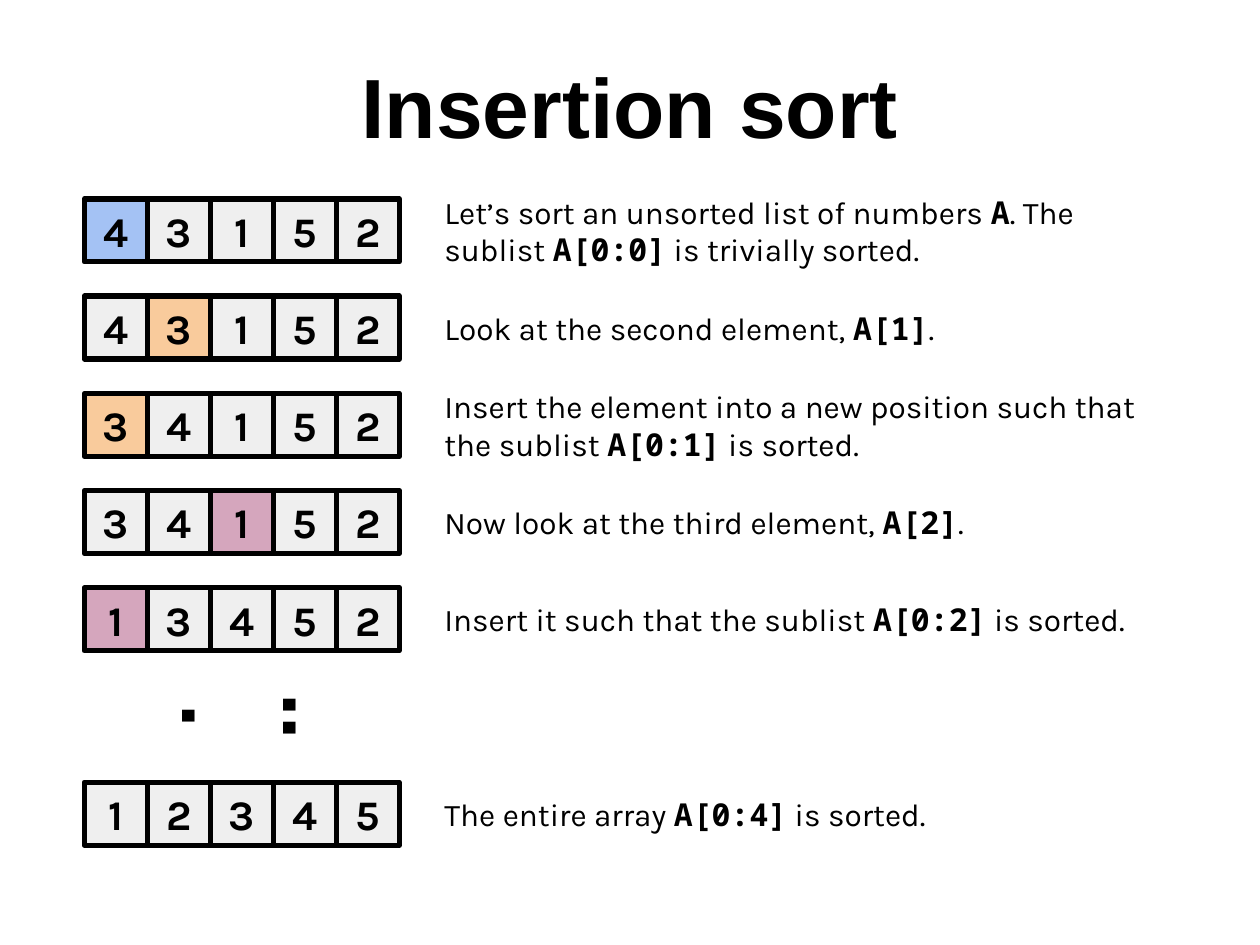
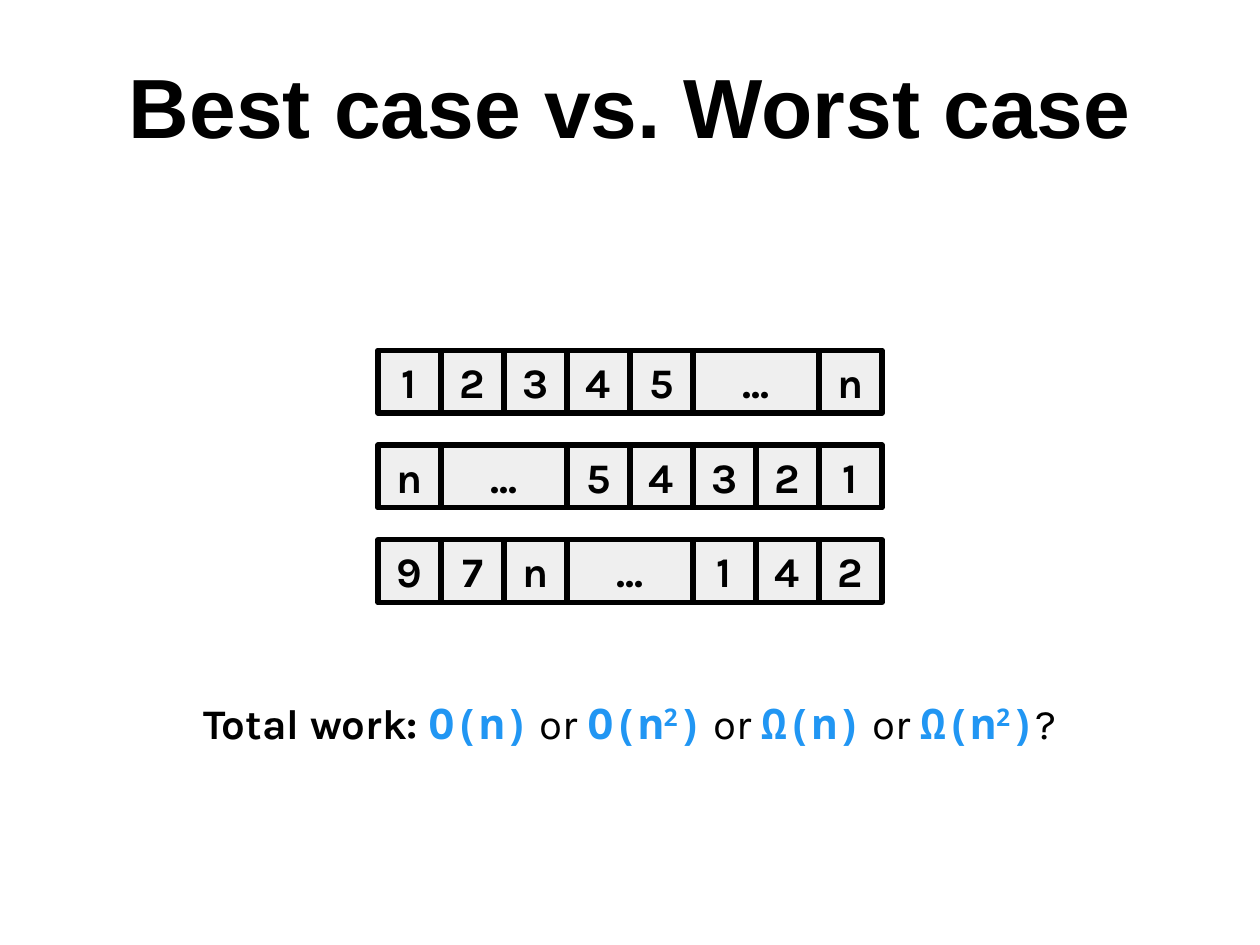
"""Builds two slides that explain insertion sort and its best and worst cases."""
import dataclasses

import pptx
import pptx.dml.color
import pptx.enum.shapes
import pptx.enum.text
import pptx.util

Cm = pptx.util.Cm
Align = pptx.enum.text.PP_ALIGN
Anchor = pptx.enum.text.MSO_ANCHOR


@dataclasses.dataclass(frozen=True)
class Theme:
    ink: str = "000000"
    cell: str = "EFEFEF"
    start: str = "A4C2F4"
    second: str = "F9CB9C"
    third: str = "D5A6BD"
    formula: str = "2196F3"
    heading_font: str = "Arial"
    body_font: str = "Karla"
    code_font: str = "Noto Sans Mono"
    heading_size: int = 48
    cell_size: int = 24
    caption_size: int = 18
    border: int = 3
    inset: float = 0.25
    cell_side: float = 1.27


def rgb(value):
    return pptx.dml.color.RGBColor.from_string(value)


class Deck:
    def __init__(self, theme):
        self.theme = theme
        self.presentation = pptx.Presentation()
        self.presentation.slide_width = Cm(25.4)
        self.presentation.slide_height = Cm(19.05)
        self.slide = None

    def add_slide(self, heading):
        title_only = self.presentation.slide_layouts[5]
        self.slide = self.presentation.slides.add_slide(title_only)
        title = self.slide.shapes.title
        title.left, title.top = Cm(0), Cm(0.84)
        title.width, title.height = Cm(25.4), Cm(3.18)
        theme = self.theme
        self.fill_text(title, [(heading, "bold")], theme.heading_size,
                       Align.CENTER, Anchor.TOP, theme.heading_font)

    def fill_text(self, holder, parts, size, align, anchor=Anchor.MIDDLE,
                  font=None, code_color=None):
        theme = self.theme
        frame = holder.text_frame
        frame.word_wrap = True
        frame.auto_size = pptx.enum.text.MSO_AUTO_SIZE.NONE
        frame.vertical_anchor = anchor
        frame.margin_left = frame.margin_right = Cm(theme.inset)
        frame.margin_top = frame.margin_bottom = Cm(theme.inset)
        paragraph = frame.paragraphs[0]
        paragraph.alignment = align
        for text, style in parts:
            run = paragraph.add_run()
            run.text = text
            is_code = style in ("code", "power")
            run.font.size = pptx.util.Pt(size)
            run.font.bold = style != "plain"
            run.font.name = theme.code_font if is_code else font or theme.body_font
            run.font.color.rgb = rgb(code_color if is_code and code_color else theme.ink)
            if style == "power":
                run.font._element.set("baseline", "30000")

    def add_text(self, left, top, width, height, parts, size, align=Align.LEFT, **look):
        box = self.slide.shapes.add_textbox(Cm(left), Cm(top), Cm(width), Cm(height))
        self.fill_text(box, parts, size, align, **look)
        return box

    def add_array(self, left, top, values, marked=None, mark=None):
        theme = self.theme
        for index, value in enumerate(values):
            width = theme.cell_side * (2 if value == "..." else 1)
            cell = self.slide.shapes.add_shape(
                pptx.enum.shapes.MSO_SHAPE.RECTANGLE,
                Cm(left), Cm(top), Cm(width), Cm(theme.cell_side))
            cell.shadow.inherit = False
            cell.fill.solid()
            cell.fill.fore_color.rgb = rgb(mark if index == marked else theme.cell)
            cell.line.color.rgb = rgb(theme.ink)
            cell.line.width = pptx.util.Pt(theme.border)
            self.fill_text(cell, [(value, "bold")], theme.cell_size, Align.CENTER)
            left += width


def build_insertion_sort(deck):
    theme = deck.theme
    deck.add_slide("Insertion sort")
    first_top, step_pitch, ellipsis_row = 4.01, 1.96, 5
    steps = [
        (0, "43152", 0, theme.start,
         [("Let’s sort an unsorted list of numbers ", "plain"), ("A", "code"),
          (". The sublist ", "plain"), ("A[0:0]", "code"),
          (" is trivially sorted.", "plain")]),
        (1, "43152", 1, theme.second,
         [("Look at the second element, ", "plain"), ("A[1]", "code"), (".", "plain")]),
        (2, "34152", 0, theme.second,
         [("Insert the element into a new position such that the sublist ", "plain"),
          ("A[0:1]", "code"), (" is sorted.", "plain")]),
        (3, "34152", 2, theme.third,
         [("Now look at the third element, ", "plain"), ("A[2]", "code"), (".", "plain")]),
        (4, "13452", 0, theme.third,
         [("Insert it such that the sublist ", "plain"), ("A[0:2]", "code"),
          (" is sorted.", "plain")]),
        (6, "12345", None, None,
         [("The entire array ", "plain"), ("A[0:4]", "code"), (" is sorted.", "plain")]),
    ]
    for row, values, marked, mark, caption in steps:
        top = first_top + row * step_pitch
        deck.add_text(8.71, top, 15.01, theme.cell_side, caption, theme.caption_size)
        deck.add_array(1.7, top, values, marked, mark)
    ellipsis = deck.add_text(
        4.6, first_top + ellipsis_row * step_pitch, 1.55, theme.cell_side,
        [("...", "bold")], theme.heading_size, Align.CENTER, font=theme.heading_font)
    ellipsis.rotation = 90


def build_cases(deck):
    theme = deck.theme
    deck.add_slide("Best case vs. Worst case")
    total_work = [
        ("Total work: ", "bold"), ("O(n)", "code"), (" or ", "plain"),
        ("O(n", "code"), ("2", "power"), (")", "code"), (" or ", "plain"),
        ("Ω(n)", "code"), (" or ", "plain"),
        ("Ω(n", "code"), ("2", "power"), (")", "code"), ("?", "plain"),
    ]
    deck.add_text(2.59, 13.11, 20.22, 2.9, total_work, theme.cell_size,
                  Align.CENTER, code_color=theme.formula)
    inputs = ["1 2 3 4 5 ... n", "n ... 5 4 3 2 1", "9 7 n ... 1 4 2"]
    for row, values in enumerate(inputs):
        deck.add_array(7.62, 7.06 + row * 1.91, values.split())


def main():
    deck = Deck(Theme())
    build_insertion_sort(deck)
    build_cases(deck)
    deck.presentation.save("out.pptx")


if __name__ == "__main__":
    main()
